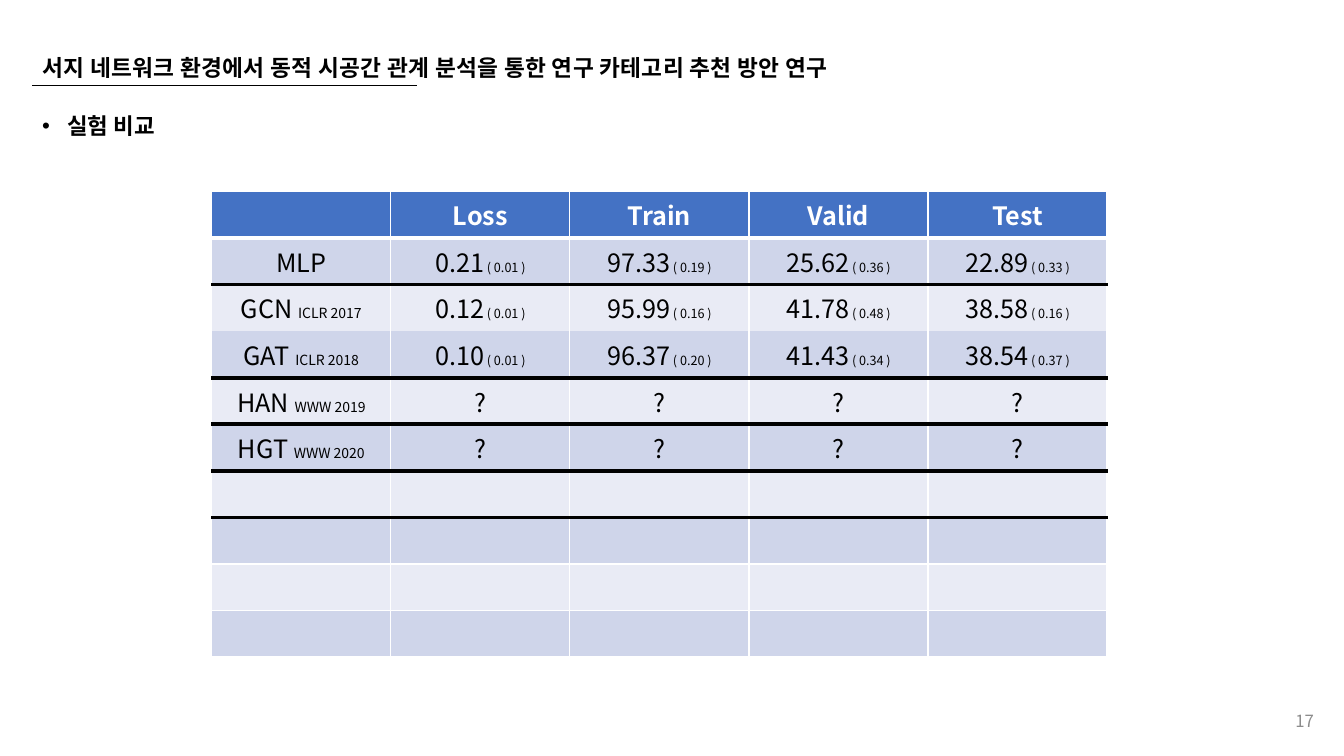
from dataclasses import dataclass

from lxml import etree
from pptx import Presentation
from pptx import util as u
from pptx.dml.color import RGBColor
from pptx.enum import shapes, text
from pptx.oxml import ns

PX = 9144  # 100 px to the inch


@dataclass(frozen=True)
class Theme:
    font: str = "Noto Sans CJK KR"
    ink: str = "000000"
    white: str = "FFFFFF"
    muted: str = "8C8C8C"
    header: str = "4472C4"
    bands: tuple = ("E9EBF5", "CFD5EA")
    title: float = 16.2
    title_spacing: int = 23  # hundredths of a point between letters
    body: float = 16
    number: float = 12
    cell: float = 18
    venue: float = 10
    deviation: float = 9


COLUMNS = ["", "Loss", "Train", "Valid", "Test"]
UNKNOWN = [("?", "")] * 4
RESULTS = [
    ("MLP", "", [("0.21", "0.01"), ("97.33", "0.19"), ("25.62", "0.36"), ("22.89", "0.33")]),
    ("GCN ", "ICLR 2017", [("0.12", "0.01"), ("95.99", "0.16"), ("41.78", "0.48"), ("38.58", "0.16")]),
    ("GAT ", "ICLR 2018", [("0.10", "0.01"), ("96.37", "0.20"), ("41.43", "0.34"), ("38.54", "0.37")]),
    ("HAN ", "WWW 2019", UNKNOWN),
    ("HGT ", "WWW 2020", UNKNOWN),
]
EMPTY_ROWS = 4
GROUP_ENDS = {1, 3, 4, 5, 6}  # rows closed by a heavy black rule
OPEN_ROWS = {2}  # rows without a rule below


class SlideBuilder:
    def __init__(self, slide, theme):
        self.slide = slide
        self.theme = theme

    def set_east_asian_font(self, properties):
        etree.SubElement(properties, ns.qn("a:ea")).set("typeface", self.theme.font)

    def style(self, span, size, color, bold=False):
        span.font.name = self.theme.font
        span.font.size = u.Pt(size)
        span.font.bold = bold
        span.font.color.rgb = RGBColor.from_string(color)
        self.set_east_asian_font(span.font._element)

    def title(self, left, top, width, height, words):
        box = self.slide.shapes.title
        box.left, box.top, box.width, box.height = (n * PX for n in (left, top, width, height))
        frame = box.text_frame
        frame.text = words
        frame.vertical_anchor = text.MSO_ANCHOR.MIDDLE
        para = frame.paragraphs[0]
        para.alignment = text.PP_ALIGN.LEFT
        span = para.runs[0]
        self.style(span, self.theme.title, self.theme.ink, True)
        span.font._element.set("spc", str(self.theme.title_spacing))

    def text_box(self, left, top, width, height, words, size, color, bold=False):
        box = self.slide.shapes.add_textbox(left * PX, top * PX, width * PX, height * PX)
        box.text_frame.word_wrap = True
        box.text_frame.text = words
        para = box.text_frame.paragraphs[0]
        self.style(para.runs[0], size, color, bold)
        return box.text_frame

    def bullet(self, left, top, width, height, words):
        frame = self.text_box(left, top, width, height, words,
                              self.theme.body, self.theme.ink, True)
        para = frame.paragraphs[0]
        para.line_spacing = 0.9
        para.space_before = u.Pt(10)
        properties = para._p.get_or_add_pPr()
        properties.set("marL", str(25 * PX))
        properties.set("indent", str(-25 * PX))
        etree.SubElement(properties, ns.qn("a:buFont")).set("typeface", "Arial")
        etree.SubElement(properties, ns.qn("a:buChar")).set("char", "•")

    def page_number(self, left, top, width, height, number):
        frame = self.text_box(left, top, width, height, number,
                              self.theme.number, self.theme.muted)
        frame.vertical_anchor = text.MSO_ANCHOR.MIDDLE
        frame.paragraphs[0].alignment = text.PP_ALIGN.RIGHT

    def rule(self, left, top, width):
        line = self.slide.shapes.add_connector(
            shapes.MSO_CONNECTOR.STRAIGHT, left * PX, top * PX, (left + width) * PX, top * PX)
        line.line.color.rgb = RGBColor.from_string(self.theme.ink)
        line.line.width = u.Pt(0.5)
        etree.SubElement(line._element.spPr, ns.qn("a:effectLst"))

    def border(self, cell, side, color, points):
        line = etree.SubElement(cell._tc.get_or_add_tcPr(), ns.qn(f"a:ln{side}"))
        line.set("w", str(u.Pt(points)))
        if color is None:
            etree.SubElement(line, ns.qn("a:noFill"))
            return
        fill = etree.SubElement(line, ns.qn("a:solidFill"))
        etree.SubElement(fill, ns.qn("a:srgbClr")).set("val", color)

    def row_rule(self, row):
        """Return colour and width of the rule below a row."""
        if row in GROUP_ENDS:
            return self.theme.ink, 3
        if row in OPEN_ROWS:
            return None, 1
        return self.theme.white, 3 if row == 0 else 1

    def cell(self, cell, row, spans):
        """Fill one cell with (words, size) spans."""
        theme = self.theme
        for side in "LR":
            self.border(cell, side, theme.white, 1)
        self.border(cell, "T", *self.row_rule(row - 1))
        self.border(cell, "B", *self.row_rule(row))
        cell.fill.solid()
        cell.fill.fore_color.rgb = RGBColor.from_string(
            theme.bands[row % 2] if row else theme.header)
        cell.vertical_anchor = text.MSO_ANCHOR.MIDDLE
        para = cell.text_frame.paragraphs[0]
        para.alignment = text.PP_ALIGN.CENTER
        for words, size in spans:
            if words:
                span = para.add_run()
                span.text = words
                self.style(span, size, theme.ink if row else theme.white, row == 0)
        if not para.runs:
            end = etree.SubElement(para._p, ns.qn("a:endParaRPr"))
            end.set("sz", str(theme.cell * 100))
            etree.SubElement(end, ns.qn("a:latin")).set("typeface", theme.font)
            self.set_east_asian_font(end)

    def table(self, left, top, width, height, rows):
        frame = self.slide.shapes.add_table(
            len(rows), len(rows[0]), left * PX, top * PX, width * PX, height * PX)
        for row, cells in enumerate(rows):
            for column, spans in enumerate(cells):
                self.cell(frame.table.cell(row, column), row, spans)


def result_rows(theme):
    rows = [[[(name, theme.cell)] for name in COLUMNS]]
    for model, venue, scores in RESULTS:
        rows.append([[(model, theme.cell), (venue, theme.venue)]] + [
            [(mean, theme.cell), (f" ( {spread} )" if spread else "", theme.deviation)]
            for mean, spread in scores])
    return rows + [[[] for _ in COLUMNS] for _ in range(EMPTY_ROWS)]


def main():
    deck = Presentation()
    deck.slide_width, deck.slide_height = u.Inches(13.33), u.Inches(7.5)
    theme = Theme()
    page = SlideBuilder(deck.slides.add_slide(deck.slide_layouts[5]), theme)
    page.rule(32, 85, 382)
    page.title(32, 49, 971, 36, "서지 네트워크 환경에서 동적 시공간 관계 분석을 통한 연구 카테고리 추천 방안 연구")
    page.page_number(1013, 695, 300, 40, "17")
    page.bullet(32, 109, 1281, 586, "실험 비교")
    page.table(210, 190, 888, 462, result_rows(theme))
    deck.save("out.pptx")


if __name__ == "__main__":
    main()
